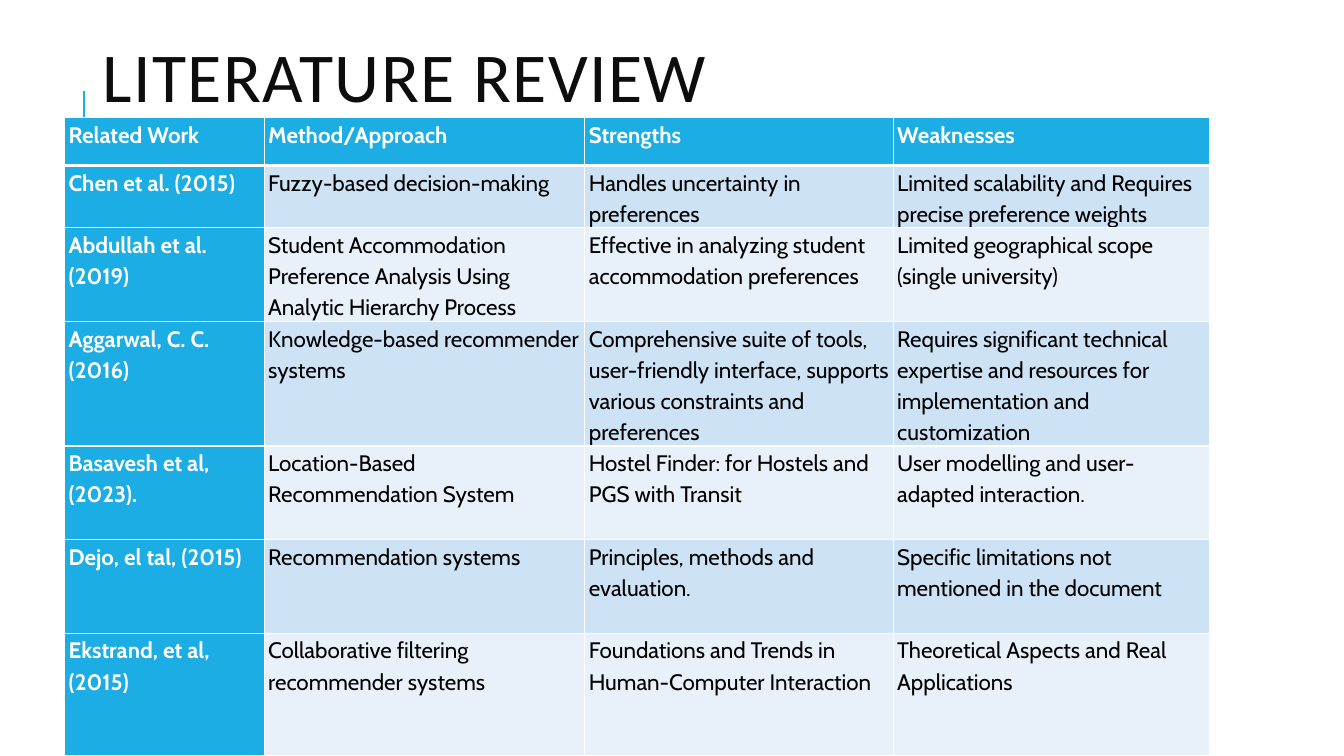
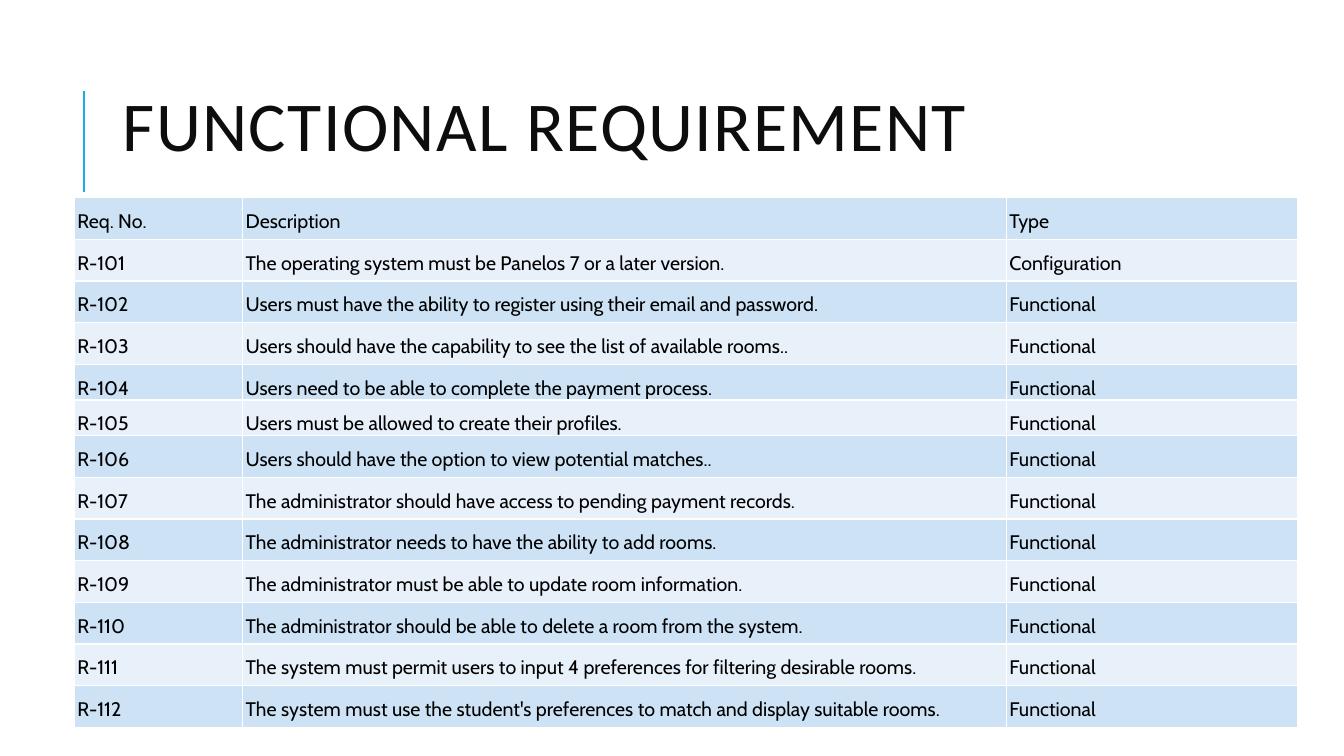
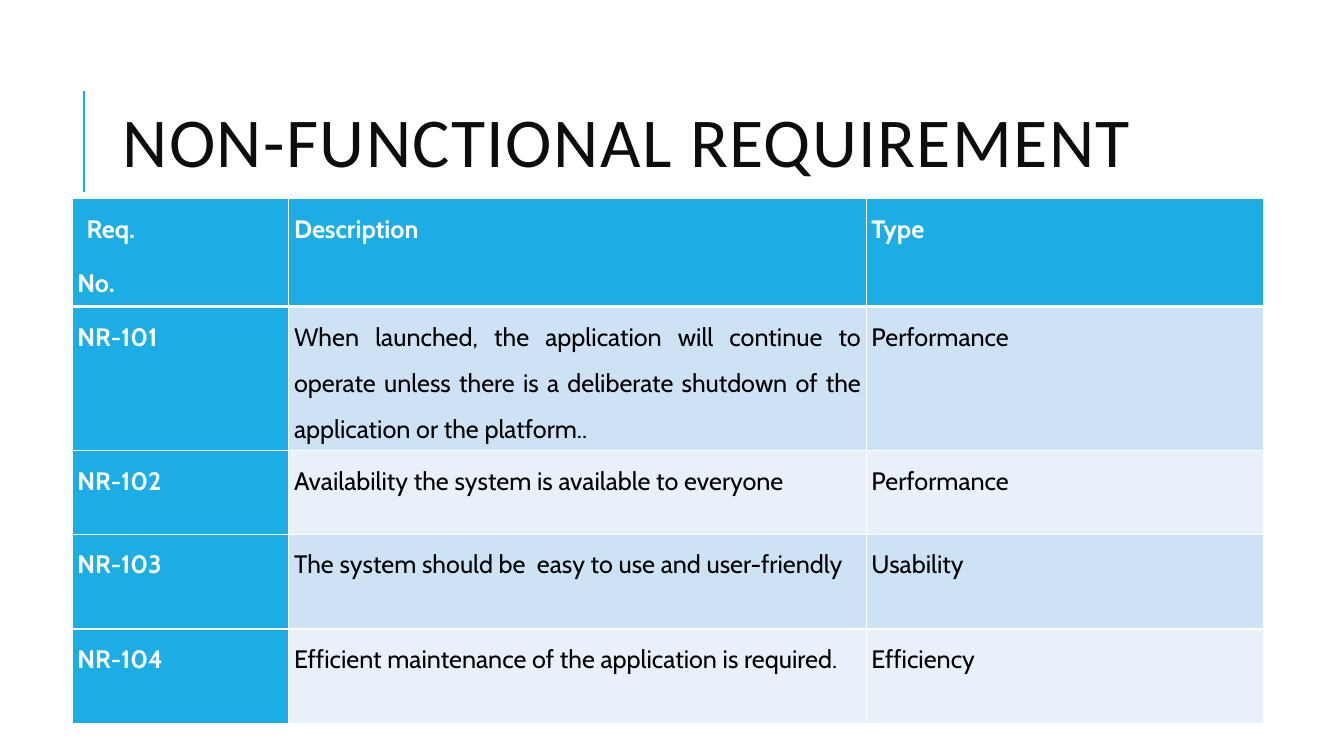
from dataclasses import dataclass

from lxml import etree
from pptx import Presentation
from pptx.dml.color import RGBColor
from pptx.enum import shapes, text
from pptx.oxml import ns
from pptx.util import Cm, Pt

WHITE, BLACK, INK = "FFFFFF", "000000", "0D0D0D"
ACCENT, BAND_DARK, BAND_LIGHT = "1CADE4", "CDE3F5", "E8F1FA"
LEFT, JUSTIFY = text.PP_ALIGN.LEFT, text.PP_ALIGN.JUSTIFY


@dataclass
class Title:
    wording: str
    left: float
    top: float
    width: float
    height: float


@dataclass
class Grid:
    """A table; all lengths are centimetres, all sizes points."""
    left: float
    top: float
    columns: list[float]
    heights: list[float]
    rows: list[tuple[str, ...]]
    size: float
    line_spacing: float
    inset: float
    headed: bool = True
    body_align: text.PP_ALIGN = JUSTIFY
    space_after: float = 0


def colour(value: str) -> RGBColor:
    return RGBColor.from_string(value)


def add_span(para, wording: str, font: str, size: float, value: str, bold: bool = False):
    span = para.add_run()
    span.text = wording
    span.font.name = font
    span.font.size = Pt(size)
    span.font.bold = bold
    span.font.color.rgb = colour(value)
    return span


def add_accent_line(page) -> None:
    line = page.shapes.add_connector(
        shapes.MSO_CONNECTOR.STRAIGHT, Cm(2.11), Cm(4.83), Cm(2.11), Cm(2.29))
    line.line.color.rgb = colour(ACCENT)
    line.line.width = Pt(1.5)
    etree.SubElement(line._element.spPr, ns.qn("a:effectLst"))


def add_title(page, title: Title) -> None:
    box = page.shapes.add_textbox(
        Cm(title.left), Cm(title.top), Cm(title.width), Cm(title.height))
    frame = box.text_frame
    frame.word_wrap = True
    frame.vertical_anchor = text.MSO_ANCHOR.MIDDLE
    para = frame.paragraphs[0]
    para.line_spacing = 0.8
    span = add_span(para, title.wording, "Calibri", 50, INK)
    span.font._element.set("spc", "100")


def add_borders(cell, top: float, bottom: float) -> None:
    """White edges, with widths in points; call before filling the cell."""
    properties = cell._tc.get_or_add_tcPr()
    for side, width in (("L", 1), ("R", 1), ("T", top), ("B", bottom)):
        edge = etree.SubElement(properties, ns.qn(f"a:ln{side}"), w=str(Pt(width)))
        fill = etree.SubElement(edge, ns.qn("a:solidFill"))
        etree.SubElement(fill, ns.qn("a:srgbClr"), val=WHITE)


def fill_cell(cell, wording: str, row: int, column: int, grid: Grid) -> None:
    header = grid.headed and row == 0
    strong = grid.headed and (row == 0 or column == 0)
    band = (BAND_DARK, BAND_LIGHT)[(row - grid.headed) % 2]
    add_borders(cell, top=3 if grid.headed and row == 1 else 1, bottom=3 if header else 1)
    cell.fill.solid()
    cell.fill.fore_color.rgb = colour(ACCENT if strong else band)
    cell.margin_left = cell.margin_right = Cm(grid.inset)
    cell.margin_top = cell.margin_bottom = 0
    frame = cell.text_frame
    for index, line in enumerate(wording.split("\n")):
        para = frame.add_paragraph() if index else frame.paragraphs[0]
        para.alignment = JUSTIFY if header else grid.body_align
        para.line_spacing = grid.line_spacing
        para.space_after = Pt(grid.space_after)
        add_span(para, line, "Cabin", grid.size, WHITE if strong else BLACK, strong)


def add_grid(page, grid: Grid):
    frame = page.shapes.add_table(
        len(grid.rows), len(grid.columns), Cm(grid.left), Cm(grid.top),
        Cm(sum(grid.columns)), Cm(sum(grid.heights)))
    table = frame.table
    table.first_row = table.horz_banding = False
    for column, width in zip(table.columns, grid.columns):
        column.width = Cm(width)
    for row, height in zip(table.rows, grid.heights):
        row.height = Cm(height)
    for row, wordings in enumerate(grid.rows):
        for column, wording in enumerate(wordings):
            fill_cell(table.cell(row, column), wording, row, column, grid)
    return table


def add_page(deck, title: Title, grid: Grid):
    """Add a slide and return its table."""
    page = deck.slides.add_slide(deck.slide_layouts[6])
    add_accent_line(page)
    add_title(page, title)
    return add_grid(page, grid)


LITERATURE = Grid(
    left=1.63, top=2.97, columns=[5.03, 8.08, 7.77, 7.98],
    heights=[1.2, 1.57, 2.36, 3.14, 2.36, 2.36, 3.09],
    size=16, line_spacing=1.15, inset=0.1, body_align=LEFT,
    rows=[
        ("Related Work", "Method/Approach", "Strengths", "Weaknesses"),
        ("Chen et al. (2015)", "Fuzzy-based decision-making",
         "Handles uncertainty in preferences",
         "Limited scalability and Requires precise preference weights"),
        ("Abdullah et al. (2019)",
         "Student Accommodation Preference Analysis Using Analytic Hierarchy Process",
         "Effective in analyzing student accommodation preferences",
         "Limited geographical scope (single university)"),
        ("Aggarwal, C. C. (2016)", "Knowledge-based recommender systems",
         "Comprehensive suite of tools, user-friendly interface, "
         "supports various constraints and preferences",
         "Requires significant technical expertise and resources "
         "for implementation and customization"),
        ("Basavesh et al, (2023).", "Location-Based Recommendation System",
         "Hostel Finder: for Hostels and PGS with Transit",
         "User modelling and user-adapted interaction."),
        ("Dejo, el tal, (2015)", "Recommendation systems",
         "Principles, methods and evaluation.",
         "Specific limitations not mentioned in the document"),
        ("Ekstrand, et al, (2015)", "Collaborative filtering recommender systems",
         "Foundations and Trends in Human-Computer Interaction",
         "Theoretical Aspects and Real Applications"),
    ])

FUNCTIONAL_NEEDS = [
    "Users must have the ability to register using their email and password.",
    "Users should have the capability to see the list of available rooms..",
    "Users need to be able to complete the payment process.",
    "Users must be allowed to create their profiles.",
    "Users should have the option to view potential matches..",
    "The administrator should have access to pending payment records.",
    "The administrator needs to have the ability to add rooms.",
    "The administrator must be able to update room information.",
    "The administrator should be able to delete a room from the system.",
    "The system must permit users to input 4 preferences for filtering desirable rooms.",
    "The system must use the student's preferences to match and display suitable rooms.",
]

FUNCTIONAL = Grid(
    left=1.87, top=4.98, columns=[4.24, 19.25, 7.34],
    heights=[1.05] * 4 + [0.9] * 2 + [1.05] * 7,
    size=14, line_spacing=1.5, inset=0.08, headed=False, space_after=8,
    rows=[
        ("Req. No.", "Description", "Type"),
        ("R-101", "The operating system must be Panelos 7 or a later version.", "Configuration"),
        *((f"R-{number}", need, "Functional")
          for number, need in enumerate(FUNCTIONAL_NEEDS, 102)),
    ])

NON_FUNCTIONAL = Grid(
    left=1.82, top=5, columns=[5.46, 14.55, 10.01],
    heights=[2.72, 3.63, 2.11, 2.39, 2.39],
    size=18, line_spacing=1.5, inset=0.13,
    rows=[
        ("Req.\nNo.", "Description", "Type"),
        ("NR-101",
         "When launched, the application will continue to operate unless there is "
         "a deliberate shutdown of the application or the platform..", "Performance"),
        ("NR-102", "Availability the system is available to everyone", "Performance"),
        ("NR-103", "The system should be  easy to use and user-friendly", "Usability"),
        ("NR-104", "Efficient maintenance of the application is required.", "Efficiency"),
    ])


def main() -> None:
    deck = Presentation()
    deck.slide_width, deck.slide_height = Cm(33.87), Cm(19.05)
    add_page(deck, Title("LITERATURE REVIEW", 2.34, 0.91, 29.21, 2.31), LITERATURE)
    add_page(deck, Title("FUNCTIONAL REQUIREMENT", 2.84, 1.63, 27, 3.35), FUNCTIONAL)
    table = add_page(
        deck, Title("NON-FUNCTIONAL REQUIREMENT", 2.84, 1.63, 27, 4.17), NON_FUNCTIONAL)
    number_heading = table.cell(0, 0).text_frame.paragraphs[0]
    number_heading.space_after = Pt(5.7)
    number_heading._p.get_or_add_pPr().set("marL", str(Cm(0.23)))
    deck.save("out.pptx")


if __name__ == "__main__":
    main()
